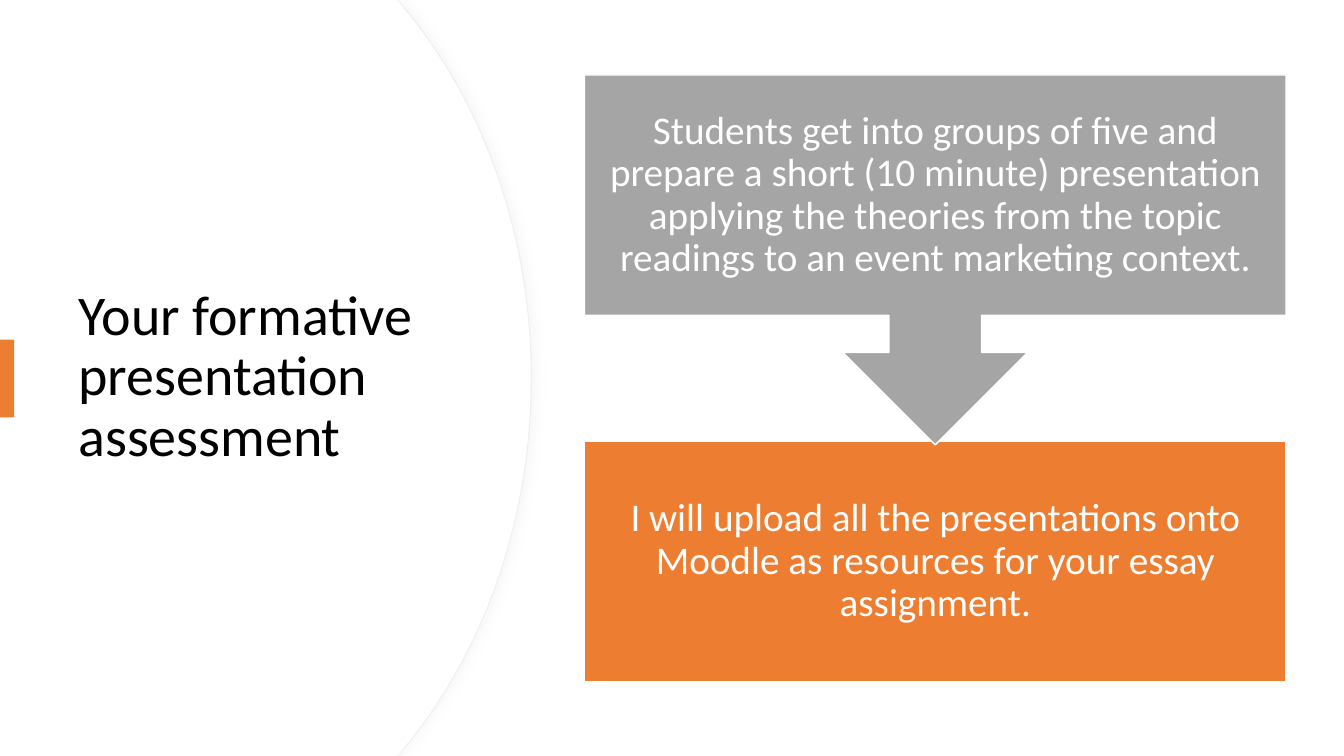
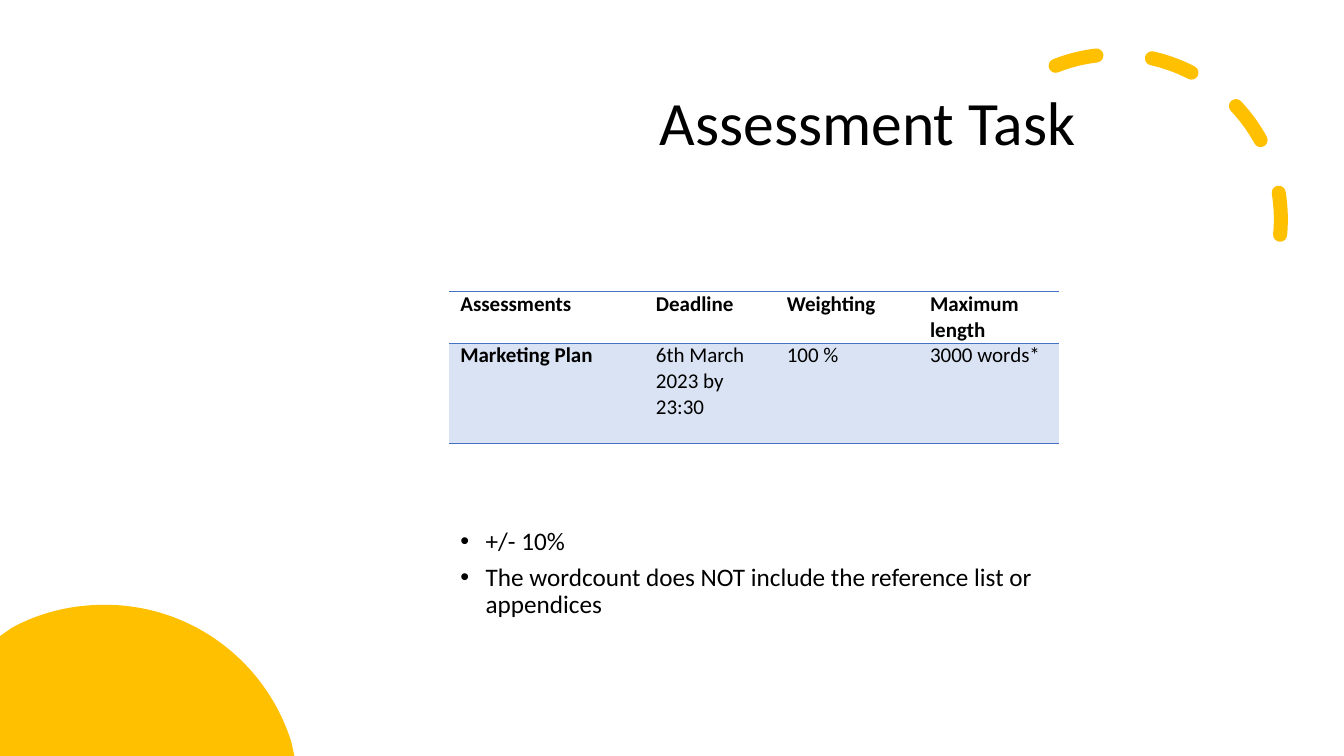
from dataclasses import dataclass

from lxml import etree
from pptx import Presentation
from pptx.dml.color import RGBColor
from pptx.enum import dml, shapes, text
from pptx.oxml import parse_xml
from pptx.oxml.ns import nsdecls, qn
from pptx.util import Cm, Pt

# Shared look
FONT = "Calibri"
BLACK, WHITE = "000000", "FFFFFF"
ORANGE, GREY, YELLOW = "ED7D31", "A5A5A5", "FFC000"
BLUE, PALE_BLUE, PANEL_EDGE = "4472C4", "DAE3F3", "EFEFEF"
SLIDE_WIDTH, SLIDE_HEIGHT = 33.87, 19.05
PLAIN_TABLE = "{2D5ABB26-0587-4C30-8999-92F81FD0307C}"

Point = tuple[float, float]
Segment = tuple[Point, ...]  # one point for a line, three for a curve


@dataclass
class Box:
    """Position and size in centimetres."""
    left: float
    top: float
    width: float
    height: float

    def lengths(self):
        return Cm(self.left), Cm(self.top), Cm(self.width), Cm(self.height)


@dataclass
class Step:
    box: Box
    kind: shapes.MSO_SHAPE
    fill: str
    content: str


def color(value: str) -> RGBColor:
    return RGBColor.from_string(value)


def write(frame, content, *, size, ink=BLACK, bold=False, align=text.PP_ALIGN.LEFT,
          anchor=text.MSO_ANCHOR.TOP, spacing=0.9, after=0, inset=None, bullet=False):
    """Put one paragraph per line of content into a text frame."""
    frame.word_wrap = True
    frame.vertical_anchor = anchor
    if inset is not None:
        frame.margin_left = frame.margin_right = Cm(inset)
        frame.margin_top = frame.margin_bottom = Cm(inset)
    for index, line in enumerate(content.split("\n")):
        paragraph = frame.add_paragraph() if index else frame.paragraphs[0]
        paragraph.text = line
        if bullet:
            properties = paragraph._p.get_or_add_pPr()
            properties.set("marL", str(Cm(0.79)))
            properties.set("indent", str(Cm(-0.64)))
            etree.SubElement(properties, qn("a:buFont")).set("typeface", "Arial")
            etree.SubElement(properties, qn("a:buChar")).set("char", "•")
        paragraph.alignment = align
        paragraph.line_spacing = spacing
        paragraph.space_after = Pt(after)
        font = paragraph.font
        font.name, font.size, font.bold = FONT, Pt(size), bold
        font.color.rgb = color(ink)


def add_text(slide, box: Box, content: str, **style):
    shape = slide.shapes.add_textbox(*box.lengths())
    write(shape.text_frame, content, **style)


def add_title(slide, box: Box, content: str, size: int):
    add_text(slide, box, content, size=size, anchor=text.MSO_ANCHOR.MIDDLE)


def paint(shape, fill=None, line=None, width=1.0):
    shape.shadow.inherit = False
    if fill:
        shape.fill.solid()
        shape.fill.fore_color.rgb = color(fill)
    else:
        shape.fill.background()
    if line:
        shape.line.color.rgb = color(line)
        shape.line.width = Pt(width)
    else:
        shape.line.fill.background()


def add_shape(slide, kind, box: Box, **look):
    shape = slide.shapes.add_shape(kind, *box.lengths())
    paint(shape, **look)
    return shape


# Curved outlines
def add_outline(slide, start: Point, segments: list[Segment], **look):
    """Draw a closed outline, turning three-point segments into cubic curves."""
    ends = [(Cm(x), Cm(y)) for x, y in (segment[-1] for segment in segments)]
    builder = slide.shapes.build_freeform(Cm(start[0]), Cm(start[1]), scale=1.0)
    builder.add_line_segments(ends, close=True)
    shape = builder.convert_to_shape()
    lines = list(shape._element.iter(qn("a:lnTo")))
    for line, segment in zip(lines, segments):
        if len(segment) == 3:
            bend = etree.Element(qn("a:cubicBezTo"))
            for x, y in segment:
                point = etree.SubElement(bend, qn("a:pt"))
                point.set("x", str(Cm(x) - shape.left))
                point.set("y", str(Cm(y) - shape.top))
            line.getparent().replace(line, bend)
    paint(shape, **look)
    return shape


def add_panel_outline(slide, shift: float, **look):
    near, middle, far = 10.19 - shift, 12.17 - shift, 13.39 - shift
    bottom = SLIDE_HEIGHT
    return add_outline(slide, (0, 0), [
        ((10.01, 0),),
        ((near, 0.2),),
        ((middle, 2.59), (far, 5.89), (far, bottom / 2)),
        ((far, bottom - 5.89), (middle, bottom - 2.59), (near, bottom - 0.2)),
        ((10.01, bottom),),
        ((0, bottom),),
    ], **look)


def add_panel(slide):
    rim = add_panel_outline(slide, 0, fill=WHITE, line=PANEL_EDGE, width=0.75)
    effects = rim._element.spPr.find(qn("a:effectLst"))
    effects.append(parse_xml(
        f'<a:outerShdw {nsdecls("a")} blurRad="{Pt(7)}" dist="{Pt(3)}" dir="0" '
        'algn="l" rotWithShape="0"><a:srgbClr val="D9D9D9"><a:alpha val="20000"/>'
        '</a:srgbClr></a:outerShdw>'))
    add_panel_outline(slide, 0.03, fill=WHITE)


# Slide 1
STEPS = [
    Step(Box(14.73, 11.12, 17.68, 6.06), shapes.MSO_SHAPE.RECTANGLE, ORANGE,
         "I will upload all the presentations onto Moodle as resources for your "
         "essay assignment."),
    Step(Box(14.73, 1.89, 17.68, 9.32), shapes.MSO_SHAPE.DOWN_ARROW_CALLOUT, GREY,
         "Students get into groups of five and prepare a short (10 minute) "
         "presentation applying the theories from the topic readings to an event "
         "marketing context."),
]


def build_formative_slide(slide):
    add_panel(slide)
    add_title(slide, Box(1.73, 3.23, 10.01, 12.57),
              "Your formative presentation assessment", 40)
    add_shape(slide, shapes.MSO_SHAPE.RECTANGLE, Box(0, 8.56, 0.36, 1.96), fill=ORANGE)
    for step in STEPS:
        shape = add_shape(slide, step.kind, step.box, fill=step.fill, line=WHITE)
        write(shape.text_frame, step.content, size=28, ink=WHITE, inset=0.56,
              align=text.PP_ALIGN.CENTER, anchor=text.MSO_ANCHOR.MIDDLE)


# Slide 2
COLUMN_WIDTHS = (4.93, 3.3, 3.61, 3.53)
ROW_HEIGHTS = (1.3, 2.54)
ROWS = (
    ("Assessments", "Deadline", "Weighting", "Maximum length"),
    ("Marketing Plan", "6th March 2023 by 23:30", "100 %", "3000 words*"),
)


def set_border(cell, side: str, width: float):
    """Draw one cell side: lnT for top, lnB for bottom."""
    border = parse_xml(
        f'<a:{side} {nsdecls("a")} w="{Pt(width)}"><a:solidFill>'
        f'<a:srgbClr val="{BLUE}"/></a:solidFill></a:{side}>')
    properties = cell._tc.get_or_add_tcPr()
    position = sum(child.tag.startswith(qn("a:ln")) for child in properties)
    properties.insert(position, border)


def add_assessment_table(slide):
    box = Box(11.32, 7.34, sum(COLUMN_WIDTHS), sum(ROW_HEIGHTS))
    table = slide.shapes.add_table(len(ROWS), len(COLUMN_WIDTHS), *box.lengths()).table
    table._tbl.tblPr.find(qn("a:tableStyleId")).text = PLAIN_TABLE
    table.horz_banding = False
    for column, width in zip(table.columns, COLUMN_WIDTHS):
        column.width = Cm(width)
    for r, (row, height) in enumerate(zip(table.rows, ROW_HEIGHTS)):
        row.height = Cm(height)
        for c, cell in enumerate(row.cells):
            write(cell.text_frame, ROWS[r][c], size=15, bold=r == 0 or c == 0, spacing=1.0)
            cell.margin_left = cell.margin_right = Cm(0.28)
            cell.margin_top = cell.margin_bottom = 0
            if r == 0:
                cell.fill.background()
                set_border(cell, "lnT", 1)
                set_border(cell, "lnB", 0.5)
            else:
                cell.fill.solid()
                cell.fill.fore_color.rgb = color(PALE_BLUE)
                set_border(cell, "lnB", 1)


def add_dashed_arc(slide):
    arc = add_shape(slide, shapes.MSO_SHAPE.ARC, Box(23.97, 1.37, 8.31, 8.31),
                    line=YELLOW, width=10)
    arc.adjustments[0], arc.adjustments[1] = 144.42, 0
    arc.rotation = 66.1
    arc._element.spPr.find(qn("a:xfrm")).set("flipH", "1")
    arc.line.dash_style = dml.MSO_LINE.DASH
    arc.line._get_or_add_ln().set("cap", "rnd")


def build_task_slide(slide):
    add_dashed_arc(slide)
    add_title(slide, Box(16.38, 1.32, 15.16, 3.68), "Assessment Task", 44)
    circle_top = (2.64, 15.24)
    add_outline(slide, circle_top, [
        ((1.8, 15.24), (0.99, 15.44), (0.3, 15.82)),
        ((0, 16.03),),
        ((0, SLIDE_HEIGHT),),
        ((7.42, SLIDE_HEIGHT),),
        ((7.34, 18.69),),
        ((6.71, 16.69), (4.85, 15.24), circle_top),
    ], fill=YELLOW)
    add_text(slide, Box(11.2, 13.2, 15.16, 3.05),
             "+/- 10%\nThe wordcount does NOT include the reference list or appendices",
             size=18, after=6, bullet=True)
    add_assessment_table(slide)


def main():
    presentation = Presentation()
    presentation.slide_width = Cm(SLIDE_WIDTH)
    presentation.slide_height = Cm(SLIDE_HEIGHT)
    blank = presentation.slide_layouts[6]
    for build in (build_formative_slide, build_task_slide):
        build(presentation.slides.add_slide(blank))
    presentation.save("out.pptx")


if __name__ == "__main__":
    main()
